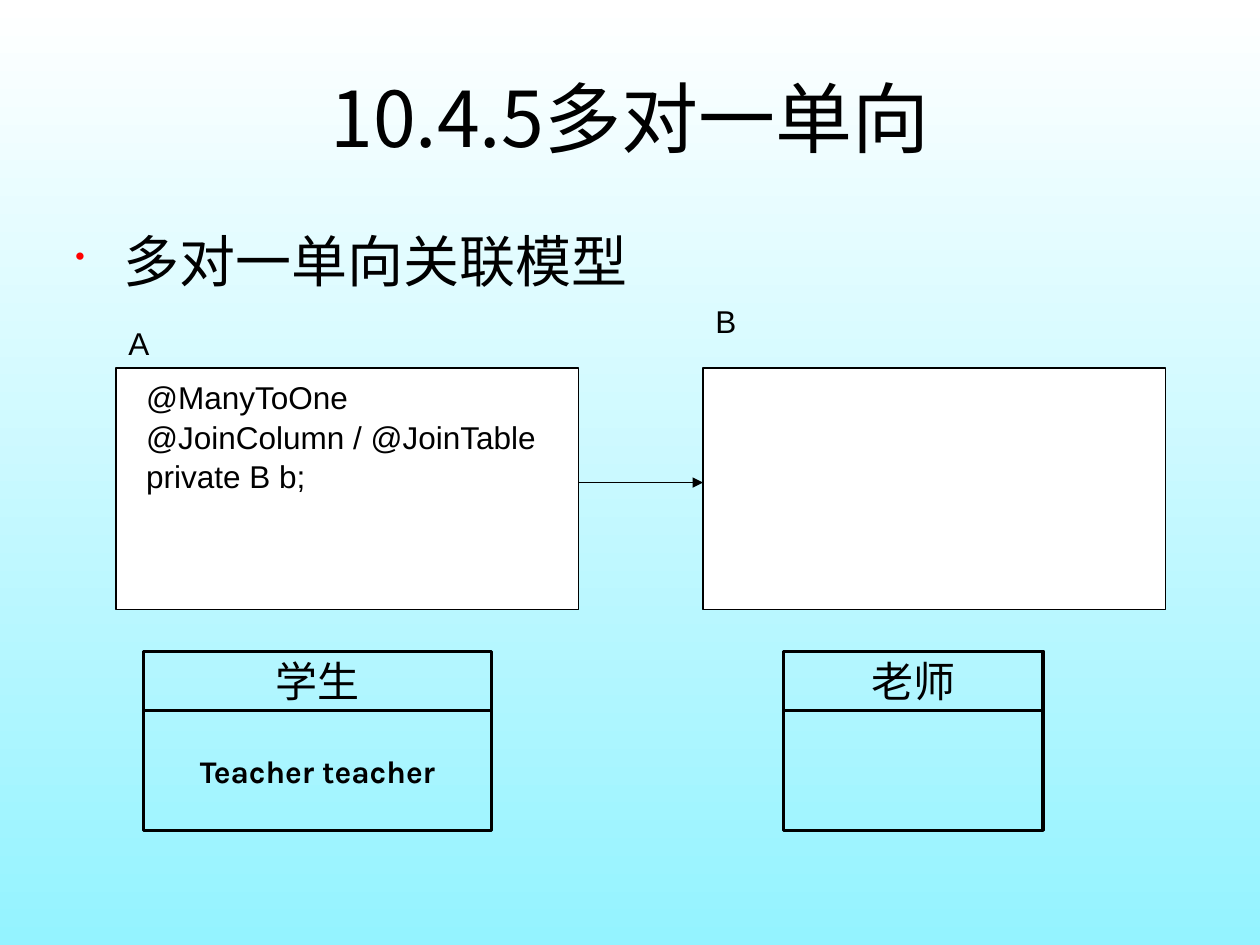
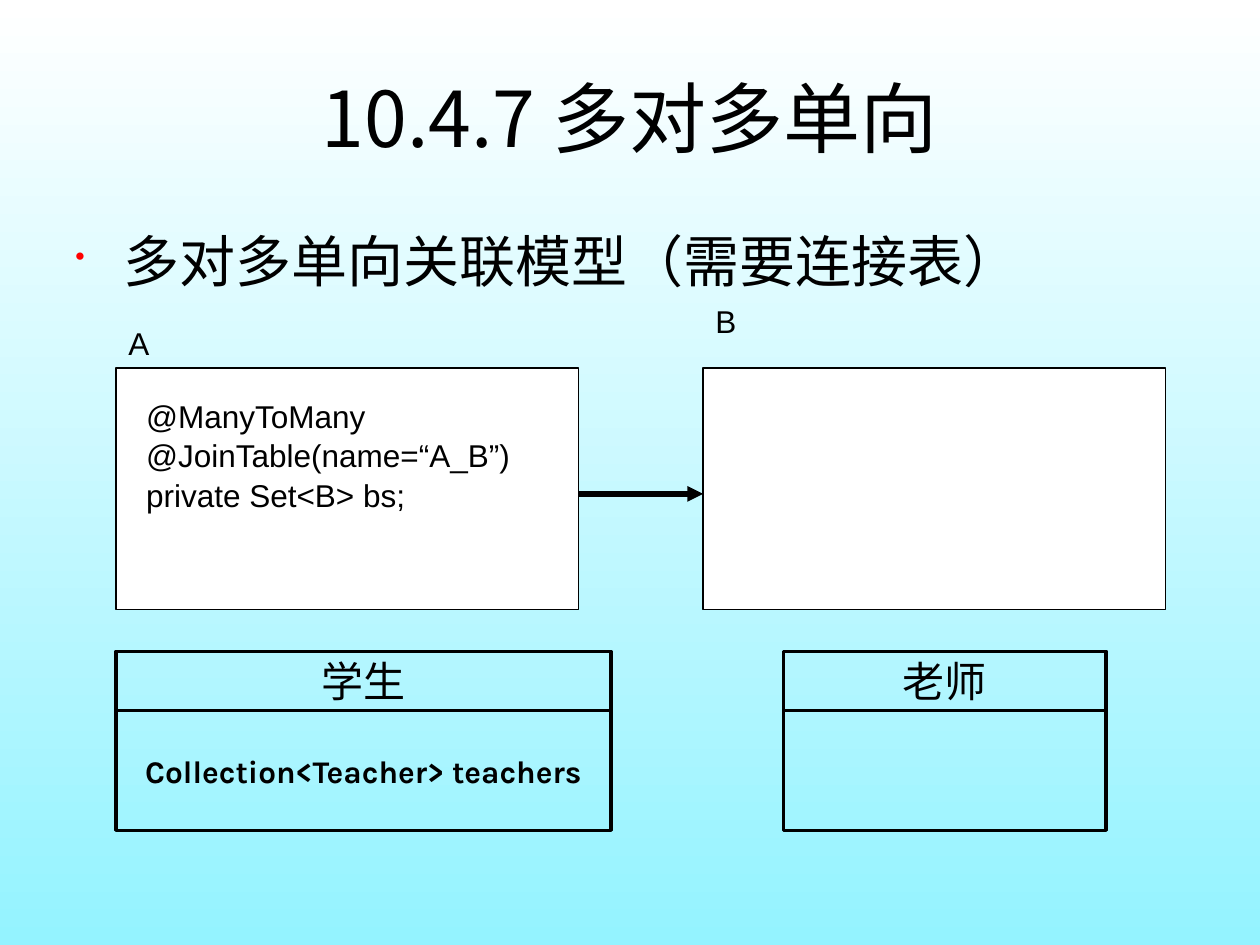
from dataclasses import dataclass

from lxml import etree
from pptx import Presentation
from pptx.dml.color import RGBColor
from pptx.enum.shapes import MSO_CONNECTOR, MSO_SHAPE
from pptx.enum.text import MSO_ANCHOR, PP_ALIGN
from pptx.oxml.ns import qn
from pptx.util import Pt

EMU_PER_PX = 9144  # 100 px to the inch
RECTANGLE = MSO_SHAPE.RECTANGLE
STRAIGHT = MSO_CONNECTOR.STRAIGHT
LEFT, CENTER = PP_ALIGN.LEFT, PP_ALIGN.CENTER
TOP, MIDDLE = MSO_ANCHOR.TOP, MSO_ANCHOR.MIDDLE


@dataclass(frozen=True)
class Theme:
    ink: RGBColor = RGBColor(0, 0, 0)
    paper: RGBColor = RGBColor(255, 255, 255)
    sky: RGBColor = RGBColor(0x94, 0xF3, 0xFF)
    bullet: str = "FF0000"
    heading_font: str = "Noto Sans CJK SC"
    code_font: str = "Arial"
    class_font: str = "Karla"
    title_size: int = 44
    body_size: int = 32
    class_size: int = 24
    code_size: int = 18
    thin: float = 0.75
    medium: float = 2
    thick: float = 3


THEME = Theme()

ENTITY_WIDTH, ENTITY_HEIGHT, ENTITY_TOP = 367, 192, 292
ENTITY_A_LEFT, ENTITY_B_LEFT = 92, 558
CLASS_TOP, CLASS_NAME_HEIGHT, CLASS_FIELD_HEIGHT = 517, 47, 95


def px(*lengths):
    return [length * EMU_PER_PX for length in lengths]


def write(shape, text, size, font, align=LEFT, anchor=TOP, bold=False, inset=(10, 5)):
    """Fill a shape with text; inset is the left and top margin in px."""
    frame = shape.text_frame
    frame.word_wrap = True
    frame.vertical_anchor = anchor
    frame.margin_left, frame.margin_top = px(*inset)
    frame.text = text
    for para in frame.paragraphs:
        para.alignment = align
        for span in para.runs:
            span.font.size = Pt(size)
            span.font.name = font
            span.font.bold = bold
            span.font.color.rgb = THEME.ink
            east_asian = etree.SubElement(span.font._element, qn("a:ea"))
            east_asian.set("typeface", THEME.heading_font)


def add_text(page, bounds, text, size, font, **style):
    box = page.shapes.add_textbox(*px(*bounds))
    write(box, text, size, font, **style)
    return box


def add_box(page, bounds, line_width, fill=None):
    box = page.shapes.add_shape(RECTANGLE, *px(*bounds))
    box.shadow.inherit = False
    if fill is None:
        box.fill.background()
    else:
        box.fill.solid()
        box.fill.fore_color.rgb = fill
    box.line.color.rgb = THEME.ink
    box.line.width = Pt(line_width)
    return box


def add_bullet(para):
    properties = para._p.get_or_add_pPr()
    properties.set("marL", str(38 * EMU_PER_PX))
    properties.set("indent", str(-38 * EMU_PER_PX))
    color = etree.SubElement(properties, qn("a:buClr"))
    etree.SubElement(color, qn("a:srgbClr")).set("val", THEME.bullet)
    etree.SubElement(properties, qn("a:buSzPct")).set("val", "50000")
    etree.SubElement(properties, qn("a:buChar")).set("char", "•")


def add_arrow(page, y, width):
    """Point from entity A to entity B."""
    start = ENTITY_A_LEFT + ENTITY_WIDTH
    arrow = page.shapes.add_connector(STRAIGHT, *px(start, y, ENTITY_B_LEFT, y))
    arrow.line.color.rgb = THEME.ink
    arrow.line.width = Pt(width)
    etree.SubElement(arrow.line._get_or_add_ln(), qn("a:tailEnd")).set("type", "triangle")
    etree.SubElement(arrow._element.spPr, qn("a:effectLst"))


def add_entity(page, name, left, name_top, code="", code_top=5):
    box = add_box(page, (left, ENTITY_TOP, ENTITY_WIDTH, ENTITY_HEIGHT),
                  THEME.thin, THEME.paper)
    if code:
        write(box, code, THEME.code_size, THEME.code_font, inset=(24, code_top))
        for para in box.text_frame.paragraphs:
            para.line_spacing = 1.04
    add_text(page, (left, name_top, 167, 40), name, THEME.code_size, THEME.code_font,
             inset=(10, 7))


def add_class(page, name, left, width, field=""):
    """Stack a class name over its field."""
    name_box = add_box(page, (left, CLASS_TOP, width, CLASS_NAME_HEIGHT), THEME.medium)
    write(name_box, name, THEME.class_size, THEME.class_font, CENTER, MIDDLE)
    field_top = CLASS_TOP + CLASS_NAME_HEIGHT
    field_box = add_box(page, (left, field_top, width, CLASS_FIELD_HEIGHT), THEME.medium)
    if field:
        write(field_box, field, THEME.code_size, THEME.class_font, CENTER, MIDDLE, bold=True)


def add_relation_page(deck, title, topic, code, code_top, arrow, student, teacher_width):
    """Draw one relation; arrow is (y, width), student is (left, width, field)."""
    page = deck.slides.add_slide(deck.slide_layouts[6])
    add_text(page, (50, 30, 900, 125), title, THEME.title_size, THEME.heading_font,
             align=CENTER, anchor=MIDDLE)
    body = add_text(page, (50, 175, 900, 70), topic, THEME.body_size, THEME.heading_font)
    add_bullet(body.text_frame.paragraphs[0])
    add_entity(page, "A", ENTITY_A_LEFT, 250, code, code_top)
    add_entity(page, "B", ENTITY_B_LEFT, 233)
    add_arrow(page, *arrow)
    add_class(page, "学生", *student)
    add_class(page, "老师", 622, teacher_width)


def set_background(deck):
    fill = deck.slide_master.background.fill
    fill.gradient()
    fill.gradient_angle = 270
    for stop, color, position in zip(fill.gradient_stops, (THEME.paper, THEME.sky), (0, 1)):
        stop.color.rgb = color
        stop.position = position


def main():
    deck = Presentation()
    deck.slide_width, deck.slide_height = px(1000, 750)
    set_background(deck)
    add_relation_page(
        deck, "10.4.5多对一单向", "多对一单向关联模型",
        "@ManyToOne\n@JoinColumn / @JoinTable\nprivate B b;", 7,
        arrow=(383, THEME.thin), student=(114, 276, "Teacher teacher"), teacher_width=206)
    add_relation_page(
        deck, "10.4.7 多对多单向", "多对多单向关联模型（需要连接表）",
        "@ManyToMany\n@JoinTable(name=“A_B”)\nprivate Set<B> bs;", 22,
        arrow=(392, THEME.thick), student=(92, 393, "Collection<Teacher> teachers"),
        teacher_width=256)
    deck.save("out.pptx")


if __name__ == "__main__":
    main()
